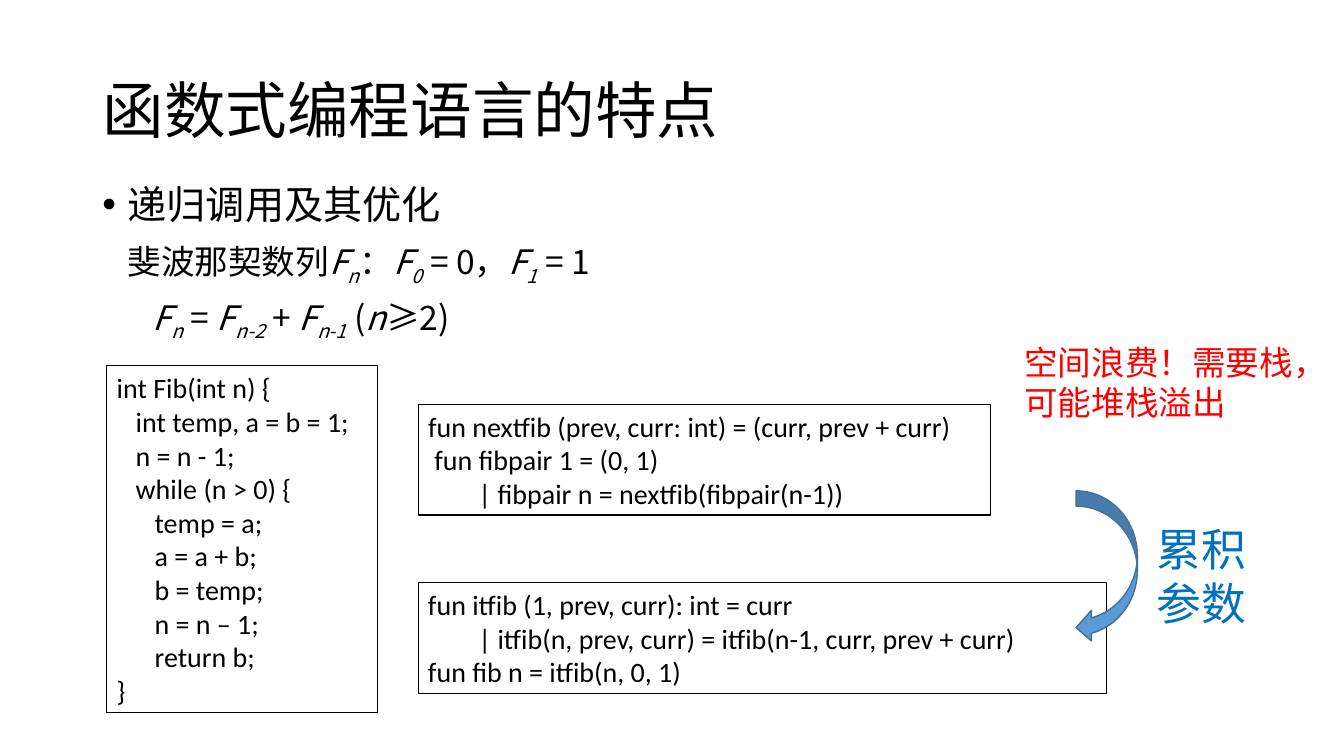
import pptx
import pptx.dml.color
import pptx.enum.shapes
import pptx.enum.text
import pptx.oxml
import pptx.oxml.ns
import pptx.util
from dataclasses import dataclass

Pt = pptx.util.Pt
SC = "Noto Sans CJK SC"
JP = "Noto Sans CJK JP"
BLACK = "000000"


@dataclass
class Span:
    text: str
    italic: bool = False
    subscript: bool = False


@dataclass
class Line:
    spans: list[Span]
    size: float
    spacing: float = 0.9
    before: float = 10
    indent: float = 0
    bullet: str = ""
    tabs: tuple[float, ...] = ()


@dataclass
class Block:
    left: float
    top: float
    width: float
    height: float
    text: str
    size: float = 20
    font: str = "Calibri"
    color: str = BLACK
    border: bool = True


def rgb(value: str) -> pptx.dml.color.RGBColor:
    return pptx.dml.color.RGBColor.from_string(value)


def add_xml(parent, tag: str, **attributes):
    element = pptx.oxml.parse_xml(f"<a:{tag} {pptx.oxml.ns.nsdecls('a')}/>")
    for key, value in attributes.items():
        element.set(key, str(value))
    parent.append(element)
    return element


def style(paragraph, size: float, font: str, color: str) -> None:
    paragraph.font.size = Pt(size)
    paragraph.font.color.rgb = rgb(color)
    paragraph.font.name = font
    latin = paragraph.font._element.find(pptx.oxml.ns.qn("a:latin"))
    latin.addnext(pptx.oxml.parse_xml(f'<a:ea {pptx.oxml.ns.nsdecls("a")} typeface="{font}"/>'))


def term(index: str) -> list[Span]:
    return [Span("F", True), Span(index, True, True)]


def add_line(paragraph, line: Line) -> None:
    paragraph.line_spacing = line.spacing
    paragraph.space_before = Pt(line.before)
    properties = paragraph._p.get_or_add_pPr()
    properties.set("marL", str(Pt(line.indent)))
    properties.set("indent", str(Pt(-line.indent if line.bullet else 0)))
    if line.bullet:
        add_xml(properties, "buFont", typeface="Arial")
        add_xml(properties, "buChar", char=line.bullet)
    else:
        add_xml(properties, "buNone")
    if line.tabs:
        stops = add_xml(properties, "tabLst")
        for position in line.tabs:
            add_xml(stops, "tab", pos=Pt(position), algn="l")
    style(paragraph, line.size, SC, BLACK)
    for span in line.spans:
        run = paragraph.add_run()
        run.text = span.text
        if span.italic:
            run.font.italic = True
        if span.subscript:
            run.font._element.set("baseline", "-25000")


def add_block(slide, block: Block) -> None:
    box = slide.shapes.add_textbox(
        Pt(block.left), Pt(block.top), Pt(block.width), Pt(block.height))
    frame = box.text_frame
    frame.word_wrap = True
    frame.text = block.text
    for paragraph in frame.paragraphs:
        style(paragraph, block.size, block.font, block.color)
    if block.border:
        box.line.color.rgb = rgb(BLACK)
        box.line.width = Pt(0.75)


LOOP_CODE = """int Fib(int n) {
   int temp, a = b = 1;
   n = n - 1;
   while (n > 0) {
      temp = a;
      a = a + b;
      b = temp;
      n = n – 1;
      return b;
}"""
PAIR_CODE = """fun nextfib (prev, curr: int) = (curr, prev + curr)
 fun fibpair 1 = (0, 1)
\t| fibpair n = nextfib(fibpair(n-1))"""
ITERATIVE_CODE = """fun itfib (1, prev, curr): int = curr
\t| itfib(n, prev, curr) = itfib(n-1, curr, prev + curr)
fun fib n = itfib(n, 0, 1)"""

BLOCKS = [
    Block(76.3, 261.4, 193.7, 247.7, LOOP_CODE),
    Block(298.8, 288.7, 409, 79.2, PAIR_CODE),
    Block(298.8, 416.2, 491.8, 79.2, ITERATIVE_CODE),
    Block(725, 240.5, 234.7, 64.8, "空间浪费！需要栈，可能堆栈溢出", 24, JP, "FF0000", False),
    Block(819.4, 369.4, 103.7, 84.2, "累积参数", 32, JP, "0070C0", False),
]

LINES = [
    Line([Span("递归调用及其优化")], 28, spacing=1.5, before=0, indent=18, bullet="•"),
    Line([Span("斐波那契数列"), *term("n"), Span("："), *term("0"),
          Span(" = 0，"), *term("1"), Span(" = 1")], 24, indent=18),
    Line([Span("\t"), *term("n"), Span(" = "), *term("n-2"), Span(" + "), *term("n-1"),
          Span("\t("), Span("n", True), Span("≥2)")], 24, tabs=(180, 378)),
]


def main() -> None:
    deck = pptx.Presentation()
    deck.slide_width, deck.slide_height = Pt(960.5), Pt(540)
    slide = deck.slides.add_slide(deck.slide_layouts[5])

    title = slide.shapes.title
    title.left, title.top, title.width, title.height = Pt(66.2), Pt(28.8), Pt(828), Pt(104.4)
    title.text_frame.text = "函数式编程语言的特点"
    title.text_frame.vertical_anchor = pptx.enum.text.MSO_ANCHOR.MIDDLE
    heading = title.text_frame.paragraphs[0]
    heading.alignment = pptx.enum.text.PP_ALIGN.LEFT
    heading.line_spacing = 0.9
    style(heading, 44, SC, BLACK)

    body = slide.shapes.add_textbox(Pt(66.2), Pt(108.7), Pt(828), Pt(145.4)).text_frame
    body.word_wrap = True
    for number, line in enumerate(LINES):
        add_line(body.add_paragraph() if number else body.paragraphs[0], line)

    for block in BLOCKS:
        add_block(slide, block)

    arrow = slide.shapes.add_shape(
        pptx.enum.shapes.MSO_SHAPE.CURVED_LEFT_ARROW, Pt(769), Pt(350.6), Pt(43.8), Pt(108.7))
    arrow.shadow.inherit = False
    arrow.fill.solid()
    arrow.fill.fore_color.rgb = rgb("5B9BD5")
    arrow.line.color.rgb = rgb("41719C")
    arrow.line.width = Pt(1)

    deck.save("out.pptx")


if __name__ == "__main__":
    main()
